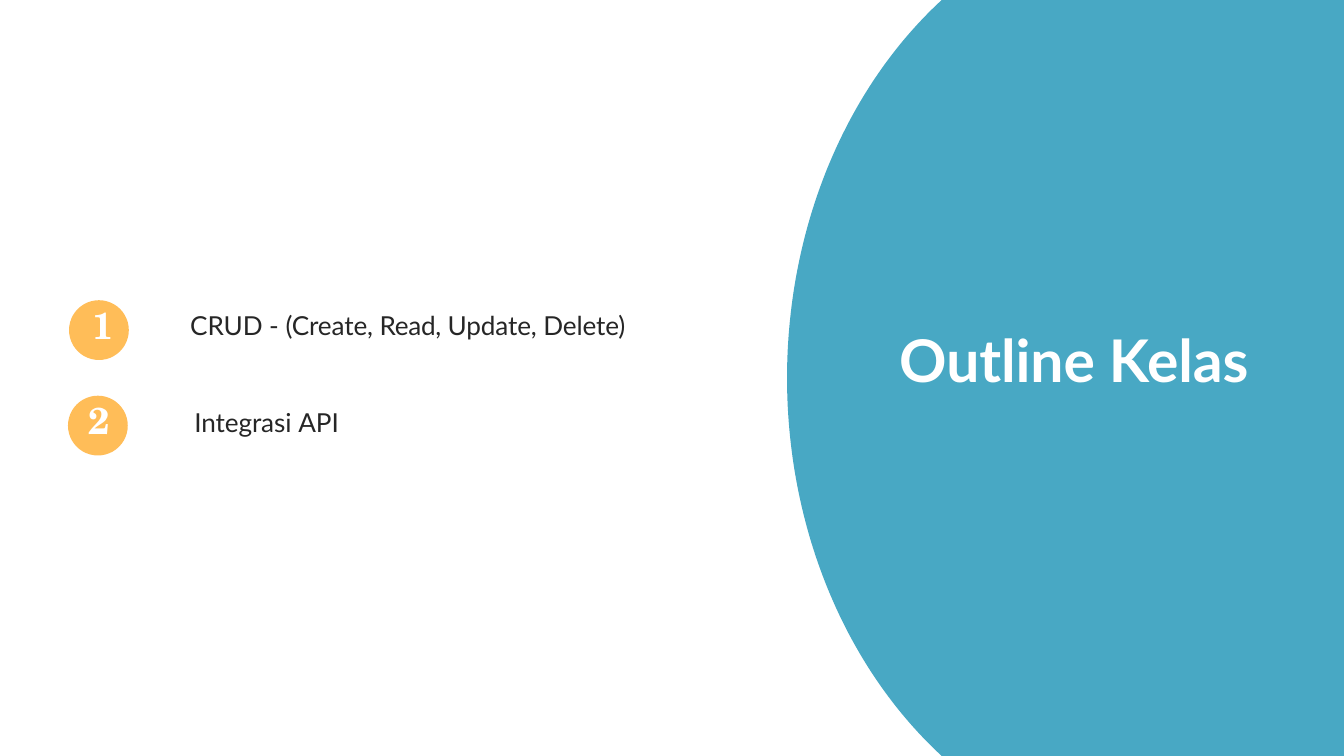
from math import asin, cos, sin

from pptx import Presentation
from pptx.dml.color import RGBColor
from pptx.enum.shapes import MSO_SHAPE
from pptx.enum.text import MSO_ANCHOR, PP_ALIGN
from pptx.util import Cm, Pt

OVAL = MSO_SHAPE.OVAL
LEFT = PP_ALIGN.LEFT
TOP = MSO_ANCHOR.TOP

TEAL = RGBColor(0x48, 0xA8, 0xC4)
AMBER = RGBColor(0xFF, 0xBD, 0x58)
INK = RGBColor(0x26, 0x26, 0x26)
WHITE = RGBColor(0xFF, 0xFF, 0xFF)

SANS = "Lato"
SERIF = "TeX Gyre Schola"
WIDTH, HEIGHT = 50.8, 28.58
BADGE_SIZE = 2.26


class OutlineSlide:
    """Holds the slide and draws its elements, with lengths in centimetres."""

    def __init__(self, slide):
        """Keep the slide and give it a white background."""
        self.slide = slide
        slide.background.fill.solid()
        slide.background.fill.fore_color.rgb = WHITE

    def paint(self, shape, colour):
        """Fill a shape flatly, without line or shadow."""
        shape.fill.solid()
        shape.fill.fore_color.rgb = colour
        shape.line.fill.background()
        shape.shadow.inherit = False

    def curved_panel(self, left, radius_x, radius_y, steps=120):
        """Fill the right side of the slide up to an elliptical edge."""
        middle = HEIGHT / 2
        limit = asin(middle / radius_y)
        angles = [limit * (2 * i / steps - 1) for i in range(steps + 1)]
        edge = [(Cm(left + radius_x * (1 - cos(a))),
                 Cm(middle + radius_y * sin(a))) for a in angles]
        builder = self.slide.shapes.build_freeform(Cm(WIDTH), 0)
        builder.add_line_segments(edge + [(Cm(WIDTH), Cm(HEIGHT))], close=True)
        self.paint(builder.convert_to_shape(), TEAL)

    def badge(self, left, top):
        """Draw the disc behind an item number."""
        size = Cm(BADGE_SIZE)
        disc = self.slide.shapes.add_shape(OVAL, Cm(left), Cm(top), size, size)
        self.paint(disc, AMBER)

    def text(self, box, runs, size, colour, font=SANS, bold=False):
        """Write one line of (wording, letter spacing in points) runs."""
        frame = self.slide.shapes.add_textbox(*map(Cm, box)).text_frame
        frame.word_wrap = True
        frame.vertical_anchor = TOP
        frame.margin_left = frame.margin_right = frame.margin_bottom = 0
        frame.margin_top = Cm(0.03)
        line = frame.paragraphs[0]
        line.alignment = LEFT
        line.space_before = Pt(1)
        line._p.get_or_add_pPr().set("marL", str(Cm(0.03)))
        for wording, spacing in runs:
            run = line.add_run()
            run.text = wording
            run.font.name = font
            run.font.size = Pt(size)
            run.font.bold = bold
            run.font.color.rgb = colour
            run._r.get_or_add_rPr().set("spc", str(round(spacing * 100)))


# badge corner, number box, topic box, topic runs
TOPICS = [
    ((2.61, 11.35), (3.45, 11.38, 0.76, 1.75), (7.16, 11.66, 17.27, 1.24),
     [("CRUD ", -0.1), ("- ", 0), ("(Create, ", -0.1), ("Read, ", -0.3),
      ("Update, Delete)", -0.1)]),
    ((2.57, 14.96), (3.3, 14.99, 0.97, 1.75), (7.32, 15.34, 5.51, 1.24),
     [("Integras", -0.1), ("i ", 0), ("AP", -0.1), ("I", 0)]),
]

deck = Presentation()
deck.slide_width, deck.slide_height = Cm(WIDTH), Cm(HEIGHT)
outline = OutlineSlide(deck.slides.add_slide(deck.slide_layouts[6]))

outline.curved_panel(29.75, 14.83, 17.96)
outline.text((33.96, 12.22, 13.79, 2.74), [("Outline Kelas", -0.1)],
             63, WHITE, bold=True)
for number, (corner, number_box, topic_box, topic) in enumerate(TOPICS, 1):
    outline.text(topic_box, topic, 28, INK)
    outline.badge(*corner)
    outline.text(number_box, [(str(number), 0)], 40, WHITE, SERIF, bold=True)

deck.save("out.pptx")
